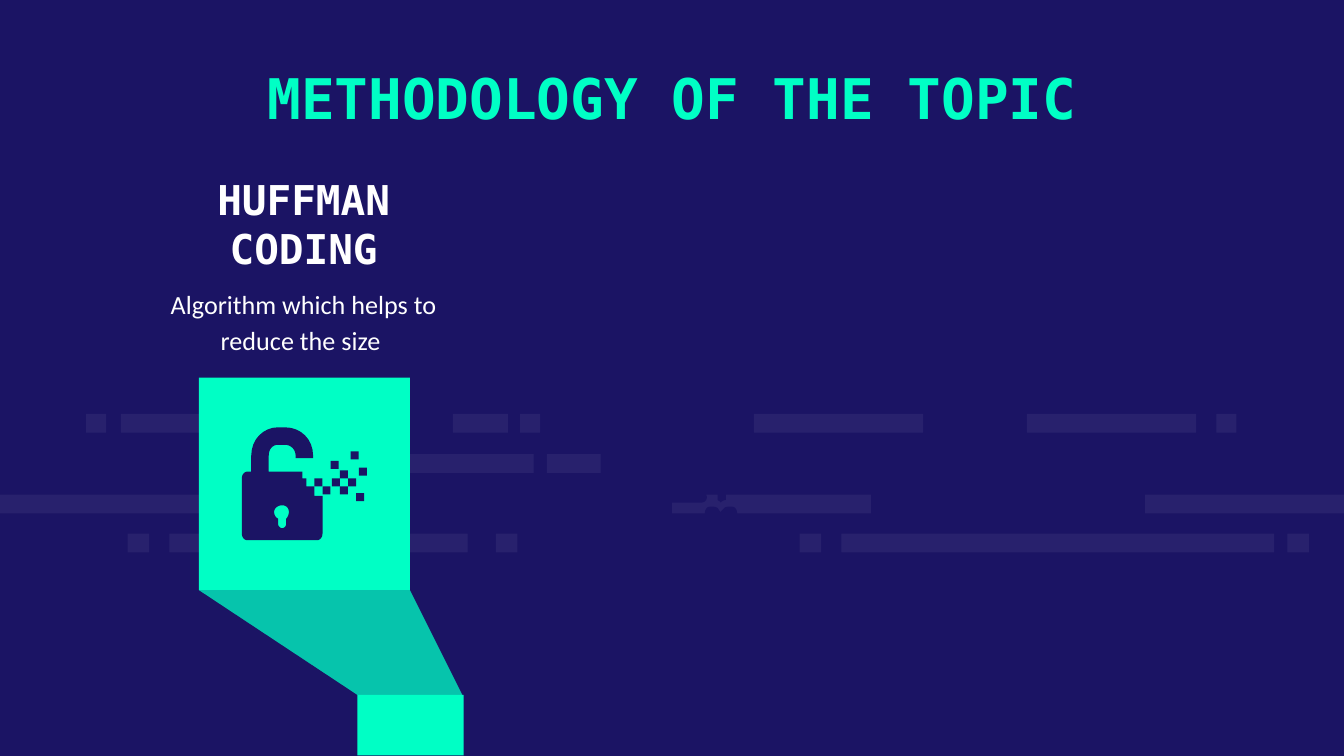
"""Build the methodology slide with its Huffman coding panel."""
import lxml.etree
import pptx
import pptx.dml.color
import pptx.enum.shapes
import pptx.enum.text
import pptx.oxml.ns
import pptx.util

Inches = pptx.util.Inches
SHAPES = pptx.enum.shapes.MSO_SHAPE
ANCHOR = pptx.enum.text.MSO_ANCHOR
COLORS = {"navy": "1B1464", "mint": "00FFC5", "white": "FFFFFF"}
HEADING, BODY = "DejaVu Sans Mono", "Calibri"

BAR_HEIGHT = 0.14
BARS = {
    3.08: [(0.64, 0.15), (0.9, 1.46), (3.37, 0.41), (3.87, 0.15),
           (5.61, 1.26), (7.64, 1.26), (9.05, 0.15)],
    3.38: [(2.99, 0.98), (4.07, 0.4)],
    3.68: [(0, 1.48), (5, 1.48), (8.52, 1.48)],
    3.97: [(0.95, 0.16), (1.26, 2.22), (3.69, 0.16), (5.95, 0.16),
           (6.26, 3.22), (9.58, 0.16)],
}
PIXEL = 0.06
PIXELS = [(2.4, 3.62), (2.47, 3.56), (2.53, 3.5), (2.46, 3.43), (2.34, 3.56),
          (2.53, 3.62), (2.65, 3.67), (2.59, 3.56), (2.67, 3.48), (2.61, 3.36)]

KEYHOLE = [
    (2.1, 3.76), (2.13, 3.76, 2.15, 3.78, 2.15, 3.81),
    (2.15, 3.83, 2.14, 3.85, 2.13, 3.86), (2.13, 3.9),
    (2.13, 3.91, 2.12, 3.93, 2.1, 3.93), (2.08, 3.93, 2.07, 3.91, 2.07, 3.9),
    (2.07, 3.86), (2.05, 3.85, 2.04, 3.83, 2.04, 3.81),
    (2.04, 3.78, 2.07, 3.76, 2.1, 3.76)]
PADLOCK = [
    (2.07, 3.18), (1.96, 3.18, 1.87, 3.27, 1.87, 3.39), (1.87, 3.51),
    (1.84, 3.51), (1.82, 3.51, 1.8, 3.53, 1.8, 3.56), (1.8, 3.97),
    (1.8, 4, 1.82, 4.02, 1.84, 4.02), (2.36, 4.02),
    (2.38, 4.02, 2.4, 4, 2.4, 3.97), (2.4, 3.69), (2.34, 3.69), (2.34, 3.62),
    (2.28, 3.62), (2.28, 3.56), (2.25, 3.56), (2.25, 3.51), (2, 3.51),
    (2, 3.39), (2, 3.34, 2.03, 3.31, 2.07, 3.31), (2.12, 3.31),
    (2.16, 3.31, 2.2, 3.34, 2.2, 3.39), (2.2, 3.41), (2.33, 3.41),
    (2.33, 3.39), (2.33, 3.27, 2.24, 3.18, 2.12, 3.18)]
CROSS = [
    (5.3, 3.77), (5.28, 3.77, 5.27, 3.77, 5.26, 3.78),
    (5.24, 3.8, 5.24, 3.84, 5.26, 3.86), (5.29, 3.89), (5.26, 3.92),
    (5.24, 3.94, 5.24, 3.97, 5.26, 4), (5.27, 4.01, 5.28, 4.01, 5.3, 4.01),
    (5.31, 4.01, 5.32, 4.01, 5.34, 4), (5.36, 3.97), (5.39, 4),
    (5.4, 4.01, 5.42, 4.01, 5.43, 4.01), (5.45, 4.01, 5.46, 4.01, 5.47, 4),
    (5.49, 3.97, 5.49, 3.94, 5.47, 3.92), (5.44, 3.89), (5.47, 3.86),
    (5.49, 3.84, 5.49, 3.8, 5.47, 3.78), (5.46, 3.77, 5.45, 3.77, 5.43, 3.77),
    (5.42, 3.77, 5.4, 3.77, 5.39, 3.78), (5.36, 3.81), (5.34, 3.78),
    (5.32, 3.77, 5.31, 3.77, 5.3, 3.77)]
WINDOW = [
    (4.54, 3.19), (4.52, 3.19, 4.51, 3.2, 4.51, 3.21), (4.51, 3.89),
    (4.51, 3.91, 4.52, 3.92, 4.54, 3.92), (5.19, 3.92),
    (5.2, 3.91, 5.2, 3.9, 5.21, 3.89), (5.21, 3.88, 5.2, 3.87, 5.2, 3.86),
    (4.56, 3.86), (4.56, 3.39), (5.34, 3.39), (5.34, 3.72),
    (5.35, 3.73, 5.36, 3.73, 5.36, 3.74), (5.37, 3.73, 5.39, 3.72, 5.4, 3.72),
    (5.4, 3.21), (5.4, 3.2, 5.39, 3.19, 5.37, 3.19)]
BAND = [(2.66, 5.17), (1.48, 4.39), (3.05, 4.39), (3.44, 5.17)]


def trace(segments, steps=8):
    """Turn lines (two numbers) and cubic curves (six) into EMU points."""
    points = [segments[0]]
    for segment in segments[1:]:
        if len(segment) == 2:
            points.append(segment)
            continue
        controls = [points[-1], segment[:2], segment[2:4], segment[4:]]
        for step in range(1, steps + 1):
            t = step / steps
            weights = ((1 - t) ** 3, 3 * t * (1 - t) ** 2, 3 * t * t * (1 - t), t ** 3)
            points.append(tuple(sum(w * c[axis] for w, c in zip(weights, controls))
                                for axis in (0, 1)))
    return [(Inches(x), Inches(y)) for x, y in points]


class SlideBuilder:
    """Hold the style and the current slide."""

    def __init__(self, deck):
        """Add a blank slide with the navy background."""
        self.slide = deck.slides.add_slide(deck.slide_layouts[6])
        fill = self.slide.background.fill
        fill.solid()
        fill.fore_color.rgb = self.rgb("navy")

    def rgb(self, color):
        """Look up a colour by name."""
        return pptx.dml.color.RGBColor.from_string(COLORS[color])

    def paint(self, shape, color, opacity):
        """Fill a shape flatly, without line or shadow."""
        shape.shadow.inherit = False
        shape.line.fill.background()
        shape.fill.solid()
        shape.fill.fore_color.rgb = self.rgb(color)
        if opacity < 100:
            tone = shape.fill._xPr.find(".//" + pptx.oxml.ns.qn("a:srgbClr"))
            alpha = lxml.etree.SubElement(tone, pptx.oxml.ns.qn("a:alpha"))
            alpha.set("val", str(opacity * 1000))

    def block(self, box, color, opacity=100, kind=SHAPES.RECTANGLE):
        """Add a preset shape."""
        shape = self.slide.shapes.add_shape(kind, *map(Inches, box))
        self.paint(shape, color, opacity)
        return shape

    def outline(self, contours, color, opacity=100):
        """Add a freeform made of one or more closed contours."""
        traced = [trace(contour) for contour in contours]
        builder = self.slide.shapes.build_freeform(*traced[0][0])
        for index, points in enumerate(traced):
            if index:
                builder.move_to(*points[0])
            builder.add_line_segments(points[1:], close=True)
        self.paint(builder.convert_to_shape(), color, opacity)

    def text(self, box, words, size, color, font, bold=False, anchor=ANCHOR.TOP,
             top=0.1, bottom=0.1, spacing=1.0):
        """Add a centred paragraph."""
        frame = self.slide.shapes.add_textbox(*map(Inches, box)).text_frame
        frame.word_wrap = True
        frame.vertical_anchor = anchor
        frame.margin_left = frame.margin_right = Inches(0.1)
        frame.margin_top, frame.margin_bottom = Inches(top), Inches(bottom)
        paragraph = frame.paragraphs[0]
        paragraph.alignment = pptx.enum.text.PP_ALIGN.CENTER
        paragraph.line_spacing = spacing
        run = paragraph.add_run()
        run.text = words
        run.font.size, run.font.name, run.font.bold = pptx.util.Pt(size), font, bold
        run.font.color.rgb = self.rgb(color)


def main():
    """Assemble and save the slide."""
    deck = pptx.Presentation()
    deck.slide_width = Inches(10)
    deck.slide_height = deck.slide_width * 9 // 16
    page = SlideBuilder(deck)

    for top, bars in BARS.items():
        for left, width in bars:
            page.block((left, top, width, BAR_HEIGHT), "white", 6)

    page.text((1.4, 0.37, 7.2, 0.73), "METHODOLOGY OF THE TOPIC", 30, "mint",
              HEADING, bold=True)
    page.text((1.13, 1.56, 2.26, 0.47), "HUFFMAN CODING", 22, "white",
              HEADING, bold=True, anchor=ANCHOR.BOTTOM, bottom=0)
    page.text((1.13, 2.11, 2.26, 0.47), "Algorithm which helps to reduce the size ",
              14, "white", BODY, top=0, spacing=1.15)

    page.outline([BAND], "mint")
    page.outline([BAND], "navy", 25)
    page.block((2.66, 5.17, 0.79, 0.45), "mint")
    page.block((1.48, 2.81, 1.57, 1.58), "mint")

    page.outline([KEYHOLE, PADLOCK], "navy")
    for left, top in PIXELS:
        page.block((left, top, PIXEL, PIXEL), "navy")

    for top in (3.49, 3.65):
        page.block((4.69, top, 0.1, 0.1), "navy", kind=SHAPES.OVAL)
        entry = page.block((4.84, top + 0.01, 0.42, 0.08), "navy",
                           kind=SHAPES.ROUNDED_RECTANGLE)
        entry.adjustments[0] = 0.5
    page.outline([CROSS], "navy")
    page.outline([WINDOW], "navy")

    deck.save("out.pptx")


if __name__ == "__main__":
    main()
